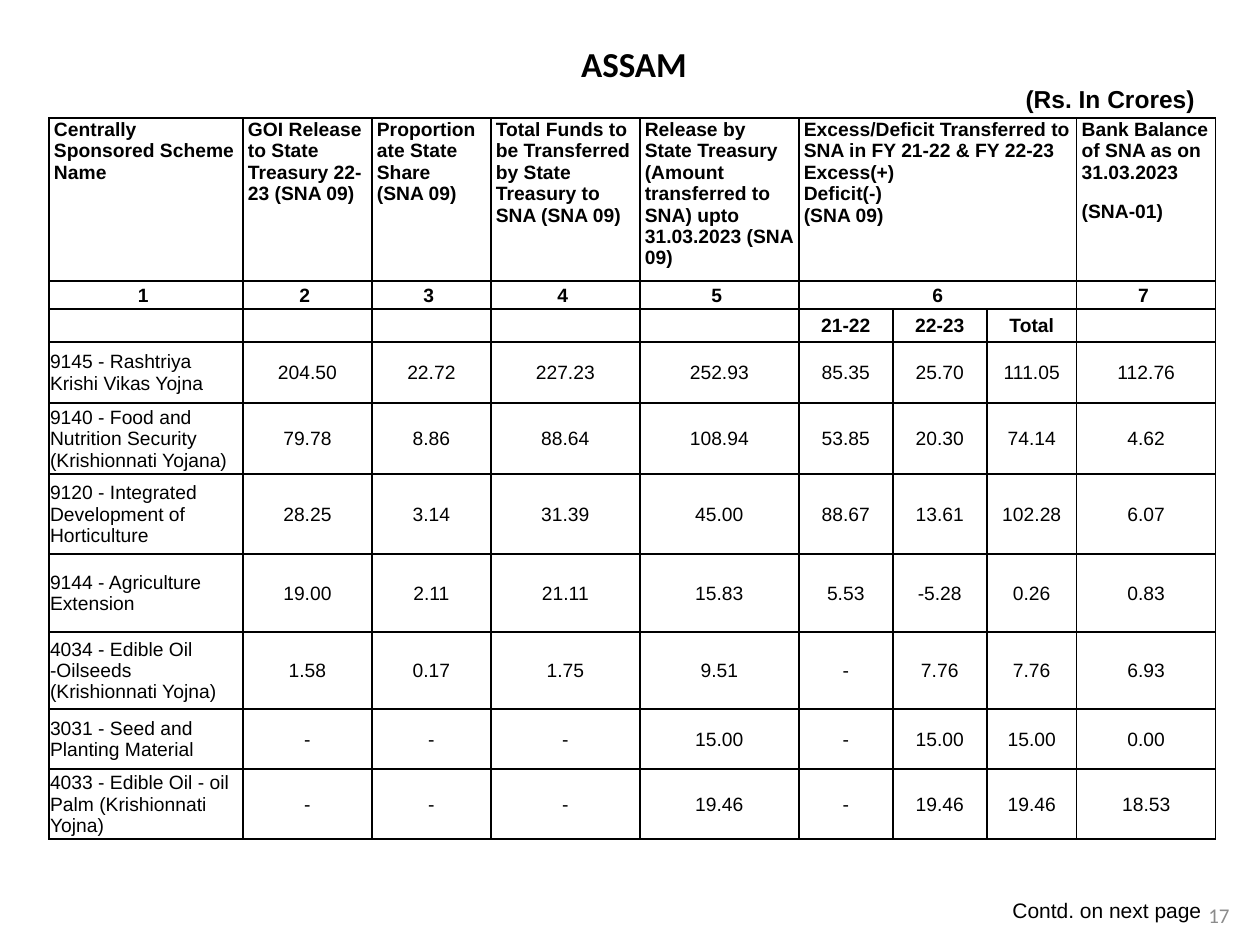
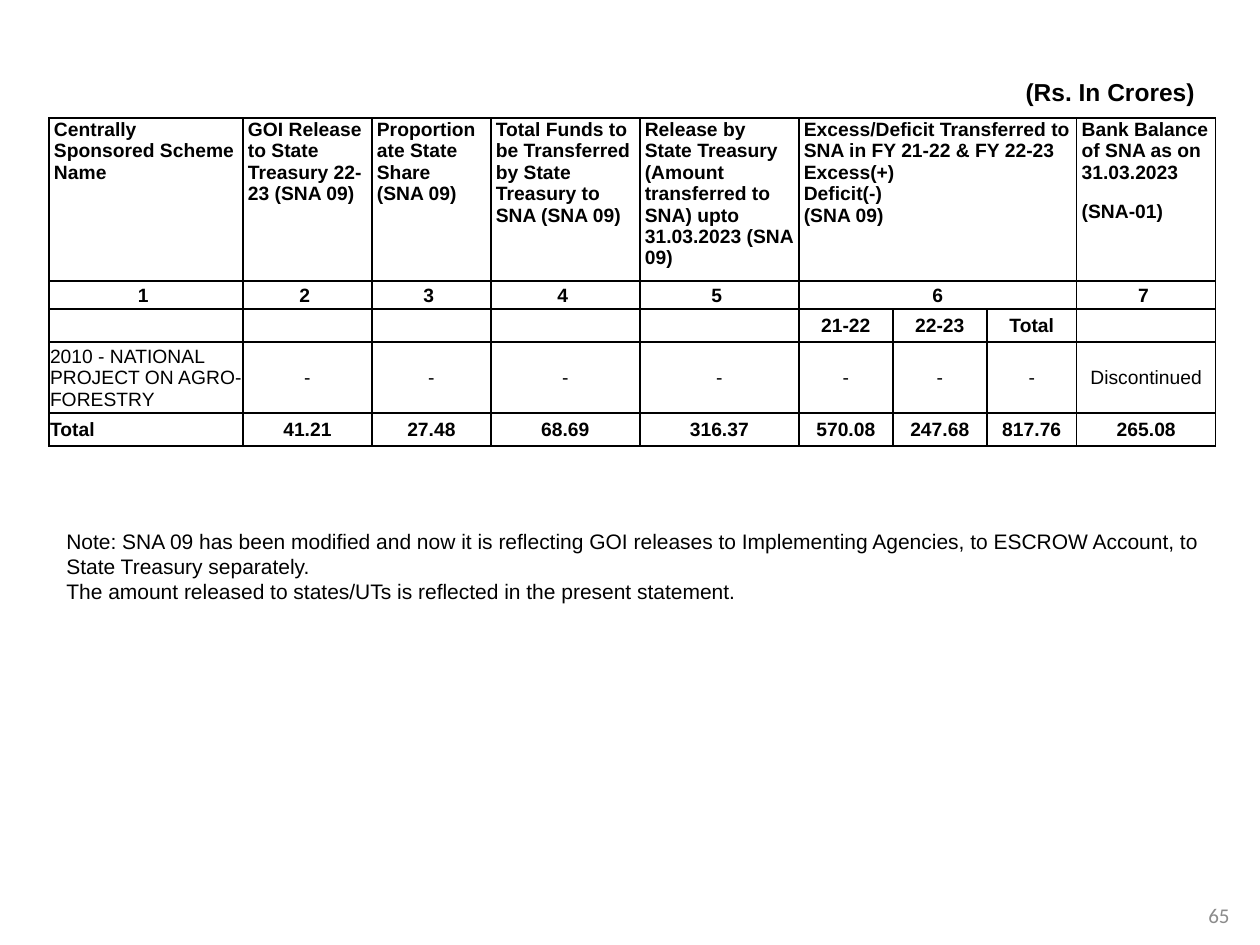
from lxml import etree
from pptx import Presentation
from pptx.dml.color import RGBColor
from pptx.enum.text import MSO_ANCHOR, PP_ALIGN
from pptx.oxml.ns import qn
from pptx.util import Pt

LEFT, CENTER, RIGHT = PP_ALIGN.LEFT, PP_ALIGN.CENTER, PP_ALIGN.RIGHT
TOP, MIDDLE = MSO_ANCHOR.TOP, MSO_ANCHOR.MIDDLE
BLACK, GREY = "000000", "8C8C8C"
BODY_FONT, TITLE_FONT = "Arial", "Calibri"

UNIT = "(Rs. In Crores) "
HEADINGS = [
    "Centrally Sponsored Scheme Name",
    "GOI Release to State Treasury 22-23 (SNA 09)",
    "Proportionate State Share\v(SNA 09)",
    "Total Funds to be Transferred by State Treasury to SNA (SNA 09)",
    "Release by State Treasury (Amount transferred to SNA) upto 31.03.2023 (SNA 09)",
    "Excess/Deficit Transferred to SNA in FY 21-22 & FY 22-23\nExcess(+)\nDeficit(-)\n(SNA 09)",
    "", "",
    "Bank Balance of SNA as on 31.03.2023\n(SNA-01)",
]
NUMBERS = ["1 ", "2 ", "3 ", "4 ", "5 ", "6", "", "", "7 "]
YEARS = ["", "", "", "", "", "21-22", "22-23", "Total", ""]
SPAN_FIRST, SPAN_LAST = 5, 7

COLUMN_WIDTHS = [194, 129, 119, 149, 159, 94, 94, 90, 139]
HEAD_HEIGHTS = [163, 28, 33]
TABLE_LEFT, TABLE_TOP = 49, 118
TEXT_LEFT, TEXT_WIDTH = 54, 1160

SCHEMES = [
    (61, ["9145 - Rashtriya Krishi Vikas Yojna",
          "204.50", "22.72", "227.23", "252.93", "85.35", "25.70", "111.05", "112.76"]),
    (71, ["9140 - Food and Nutrition Security (Krishionnati Yojana)",
          "79.78", "8.86", "88.64", "108.94", "53.85", "20.30", "74.14", "4.62"]),
    (80, ["9120 - Integrated Development of Horticulture",
          "28.25", "3.14", "31.39", "45.00", "88.67", "13.61", "102.28", "6.07"]),
    (78, ["9144 - Agriculture Extension",
          "19.00", "2.11", "21.11", "15.83", "5.53", "-5.28", "0.26", "0.83"]),
    (77, ["4034 - Edible Oil -Oilseeds (Krishionnati Yojna)",
          "1.58", "0.17", "1.75", "9.51", "-", "7.76", "7.76", "6.93"]),
    (60, ["3031 - Seed and Planting Material",
          "-", "-", "-", "15.00", "-", "15.00", "15.00", "0.00"]),
    (70, ["4033 - Edible Oil - oil Palm (Krishionnati Yojna)",
          "-", "-", "-", "19.46", "-", "19.46", "19.46", "18.53"]),
]
CLOSING = [
    (71, ["2010 - NATIONAL PROJECT ON AGRO- FORESTRY",
          "-", "-", "-", "-", "-", "-", "-", "Discontinued"]),
    (33, ["Total", "41.21", "27.48", "68.69", "316.37", "570.08", "247.68", "817.76", "265.08"]),
]
NOTES = [
    "Note: SNA 09 has been modified and now it is reflecting GOI releases to Implementing Agencies, "
    "to ESCROW Account, to State Treasury separately.",
    "The amount released to states/UTs is reflected in the present statement.",
]


def px(length):
    return round(length * 914400 / 126)


def color(value):
    return RGBColor.from_string(value)


def write(para, text, size, bold=False, font=BODY_FONT, ink=BLACK, align=LEFT):
    para.alignment = align
    for index, line in enumerate(text.split("\v")):
        if index:
            para.add_line_break()
        span = para.add_run()
        span.text = line
        span.font.size = Pt(size)
        span.font.bold = bold
        span.font.name = font
        span.font.color.rgb = color(ink)


def add_text(page, area, lines, anchor=TOP, wrap=True):
    box = page.shapes.add_textbox(*map(px, area))
    frame = box.text_frame
    frame.word_wrap = wrap
    frame.vertical_anchor = anchor
    for index, line in enumerate(lines):
        para = frame.add_paragraph() if index else frame.paragraphs[0]
        write(para, **line)


def draw_borders(cell):
    properties = cell._tc.get_or_add_tcPr()
    for side in ("a:lnL", "a:lnR", "a:lnT", "a:lnB"):
        line = etree.SubElement(properties, qn(side), w=str(Pt(1)))
        fill = etree.SubElement(line, qn("a:solidFill"))
        etree.SubElement(fill, qn("a:srgbClr"), val=BLACK)


def fill_cell(cell, text, row, column):
    draw_borders(cell)
    cell.fill.background()
    heading = row < 2
    cell.margin_left = cell.margin_right = px(5 if heading else 1)
    cell.margin_top, cell.margin_bottom = px(1), 0
    cell.vertical_anchor = TOP if heading else MIDDLE
    if not text:
        etree.SubElement(cell.text_frame.paragraphs[0]._p, qn("a:endParaRPr"), sz="1100")
        return
    bold = row < len(HEAD_HEIGHTS) or text == "Total" or column < 0
    align = LEFT if row == 0 or column == 0 and row > 1 else CENTER
    for index, line in enumerate(text.split("\n")):
        para = cell.text_frame.add_paragraph() if index else cell.text_frame.paragraphs[0]
        write(para, line, 11, bold, align=align)
        if heading and not (row == 0 and column == SPAN_FIRST):
            para.space_after = Pt(10)
        if row == 1:
            para.line_spacing = 1.15


def embolden(cell):
    for para in cell.text_frame.paragraphs:
        for span in para.runs:
            span.font.bold = True


def add_scheme_table(page, body):
    heights = HEAD_HEIGHTS + [height for height, _ in body]
    rows = [HEADINGS, NUMBERS, YEARS] + [values for _, values in body]
    table = page.shapes.add_table(
        len(rows), len(COLUMN_WIDTHS), px(TABLE_LEFT), px(TABLE_TOP),
        px(sum(COLUMN_WIDTHS)), px(sum(heights))).table
    table.first_row = table.horz_banding = False
    for column, width in zip(table.columns, COLUMN_WIDTHS):
        column.width = px(width)
    for row, (height, values) in enumerate(zip(heights, rows)):
        table.rows[row].height = px(height)
        for column, text in enumerate(values):
            fill_cell(table.cell(row, column), text, row, column)
            if values[0] == "Total":
                embolden(table.cell(row, column))
    for row in (0, 1):
        table.cell(row, SPAN_FIRST).merge(table.cell(row, SPAN_LAST))


def add_page(deck, number, heading_area, heading, body):
    page = deck.slides.add_slide(deck.slide_layouts[6])
    unit = dict(text=UNIT, size=14, bold=True, align=RIGHT)
    add_text(page, heading_area, heading + [unit])
    add_scheme_table(page, body)
    add_text(page, (1194, 890, 50, 50),
             [dict(text=number, size=12, font=TITLE_FONT, ink=GREY, align=CENTER)], MIDDLE)
    return page


def main():
    deck = Presentation()
    deck.slide_width, deck.slide_height = px(1260), px(945)

    state = dict(text="ASSAM", size=20, bold=True, font=TITLE_FONT, align=CENTER)
    page = add_page(deck, "17", (TEXT_LEFT, 36, TEXT_WIDTH, 84), [state], SCHEMES)
    add_text(page, (999, 891, 216, 38),
             [dict(text="Contd. on next page", size=12, align=CENTER)], MIDDLE, wrap=False)

    page = add_page(deck, "65", (TEXT_LEFT, 71, TEXT_WIDTH, 43), [], CLOSING)
    add_text(page, (TEXT_LEFT, 522, TEXT_WIDTH, 90), [dict(text=note, size=12) for note in NOTES])

    deck.save("out.pptx")


if __name__ == "__main__":
    main()
